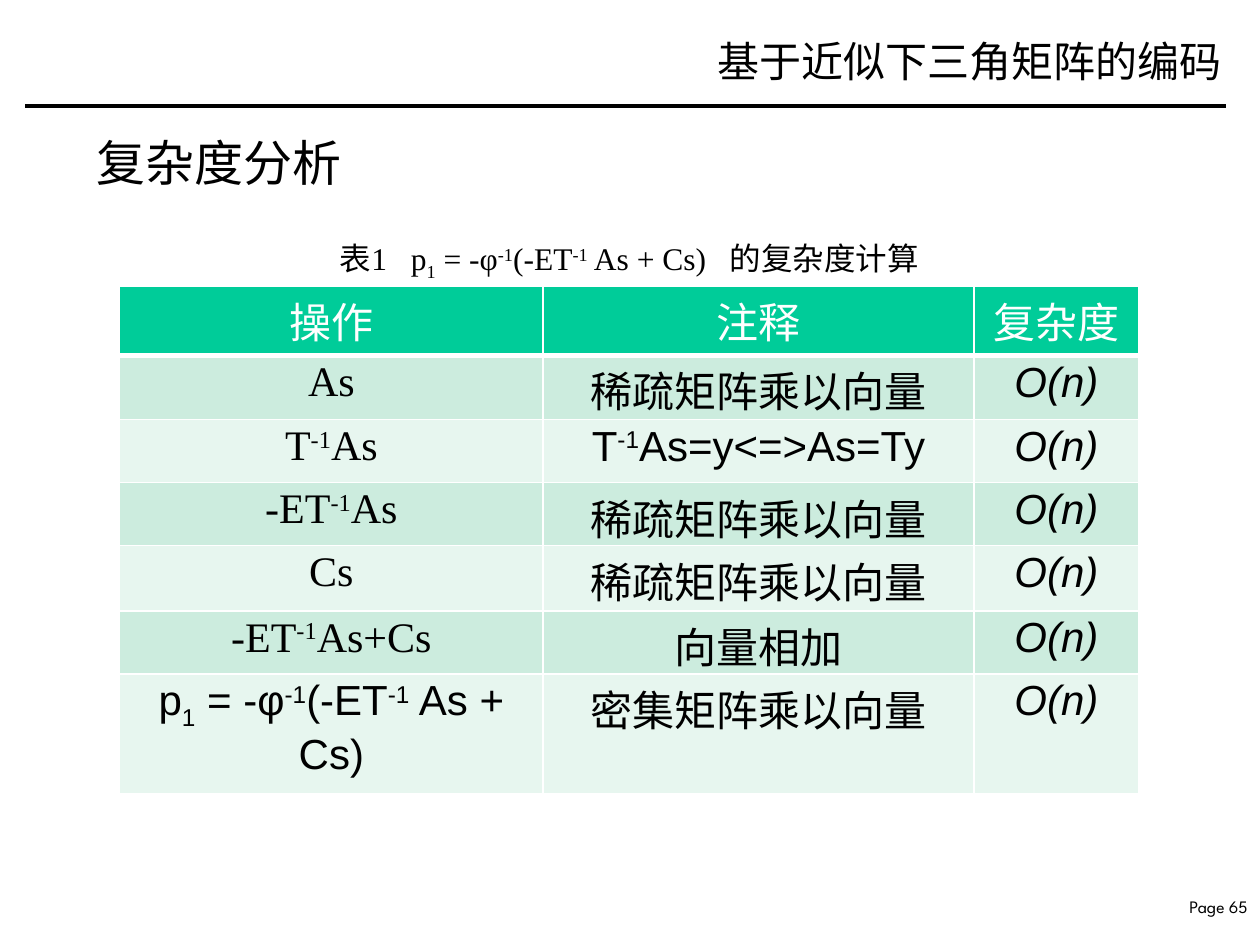
"""Build the complexity analysis slide with its table of operations."""
from lxml.etree import SubElement
from pptx import Presentation
from pptx.dml.color import RGBColor
from pptx.enum.shapes import MSO_CONNECTOR
from pptx.enum.text import MSO_ANCHOR, PP_ALIGN
from pptx.oxml.ns import qn
from pptx.util import Inches, Pt

COLORS = {"text": "000000", "white": "FFFFFF", "header": "00CC99",
          "odd": "CCECDE", "even": "E7F6EF"}
SERIF, SANS, CJK = "Times New Roman", "Arial", "Noto Sans CJK SC"
BASELINES = {"^": "30000", "_": "-25000"}


def write(tf, text, size=24, font=SERIF, color="text", align=PP_ALIGN.CENTER,
          italic=False):
    """Write text whose parts, split by |, are raised by ^ or lowered by _."""
    p = tf.paragraphs[0]
    p.alignment = align
    for part in text.split("|"):
        r = p.add_run()
        r.text = part.lstrip("^_")
        r.font.size = Pt(size)
        r.font.name = font
        r.font.bold = False
        r.font.italic = italic
        r.font.color.rgb = RGBColor.from_string(COLORS[color])
        rPr = r.font._element
        SubElement(rPr, qn("a:ea"), typeface=CJK)
        if part[0] in BASELINES:
            rPr.set("baseline", BASELINES[part[0]])


def add_border(tcPr, side, width):
    ln = SubElement(tcPr, qn(f"a:{side}"), w=str(Pt(width)))
    fill = SubElement(ln, qn("a:solidFill"))
    SubElement(fill, qn("a:srgbClr"), val=COLORS["white"])


prs = Presentation()
prs.slide_width, prs.slide_height = Inches(10), Inches(7.5)
s = prs.slides.add_slide(prs.slide_layouts[6])

rule = s.shapes.add_connector(MSO_CONNECTOR.STRAIGHT, Inches(0.2), Inches(0.84),
                              Inches(9.73), Inches(0.84))
rule.line.color.rgb = RGBColor.from_string(COLORS["text"])
rule.line.width = Pt(2)
SubElement(rule._element.spPr, qn("a:effectLst"))

formula = "p|_1| = -φ|^-1|(-ET|^-1| As + Cs)"
boxes = [
    ("基于近似下三角矩阵的编码", (4.6, 0.11, 5.19, 0.75),
     dict(align=PP_ALIGN.RIGHT), MSO_ANCHOR.MIDDLE),
    ("复杂度分析", (0.67, 1, 8.65, 0.65),
     dict(size=28, align=PP_ALIGN.LEFT), MSO_ANCHOR.TOP),
    (f"表1   {formula}   的复杂度计算", (0.67, 1.85, 8.65, 0.45),
     dict(size=18), MSO_ANCHOR.TOP),
    ("Page 65", (9, 7.06, 1, 0.26),
     dict(size=10, font="League Spartan", align=PP_ALIGN.RIGHT), MSO_ANCHOR.TOP),
]
for text, place, style, anchor in boxes:
    tf = s.shapes.add_textbox(*map(Inches, place)).text_frame
    tf.word_wrap = True
    tf.vertical_anchor = anchor
    write(tf, text, **style)

sparse = "稀疏矩阵乘以向量"
rows = [
    ("操作", "注释", "复杂度"),
    ("As", sparse, "O(n)"),
    ("T|^-1|As", "T|^-1|As=y<=>As=Ty", "O(n)"),
    ("-ET|^-1|As", sparse, "O(n)"),
    ("Cs", sparse, "O(n)"),
    ("-ET|^-1|As+Cs", "向量相加", "O(n)"),
    (formula, "密集矩阵乘以向量", "O(n)"),
]
widths = [3.36, 3.42, 1.31]
heights = [0.55, 0.51, 0.5, 0.5, 0.52, 0.5, 0.95]
table = s.shapes.add_table(len(rows), len(widths), Inches(0.95), Inches(2.27),
                           Inches(sum(widths)), Inches(sum(heights))).table
for col, width in zip(table.columns, widths):
    col.width = Inches(width)
for i, (row, height) in enumerate(zip(rows, heights)):
    table.rows[i].height = Inches(height)
    for j, text in enumerate(row):
        cell = table.cell(i, j)
        cell.margin_top, cell.margin_bottom = Inches(0.03), 0
        tcPr = cell._tc.get_or_add_tcPr()
        for side in ("lnL", "lnR", "lnT", "lnB"):
            thick = (i, side) in ((0, "lnB"), (1, "lnT"))
            add_border(tcPr, side, 3 if thick else 1)
        fill = "header" if i == 0 else "odd" if i % 2 else "even"
        cell.fill.solid()
        cell.fill.fore_color.rgb = RGBColor.from_string(COLORS[fill])
        if i == 0 or j == 1 and "As" not in text:
            font = CJK
        else:
            font = SERIF if j == 0 and text != formula else SANS
        write(cell.text_frame, text, font=font, italic=text == "O(n)",
              color="white" if i == 0 else "text")

prs.save("out.pptx")
